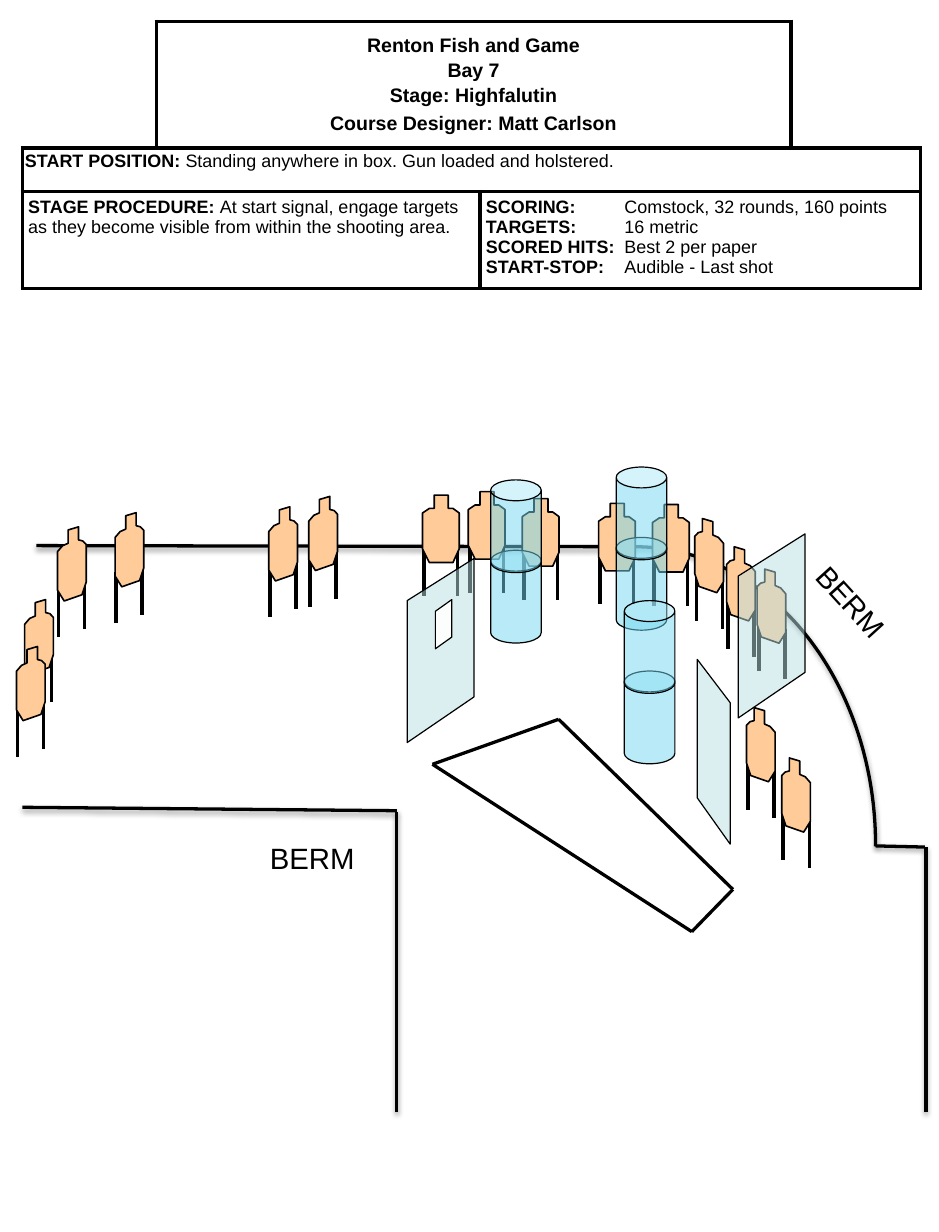
from dataclasses import dataclass
from typing import NamedTuple

from lxml.etree import SubElement
from pptx import Presentation
from pptx.dml.color import RGBColor
from pptx.enum.shapes import MSO_CONNECTOR as Link, MSO_SHAPE as Preset
from pptx.enum.text import MSO_ANCHOR as Anchor, PP_ALIGN as Align
from pptx.oxml.ns import qn
from pptx.util import Pt

COLORS = {"ink": "000000", "paper": "FFFFFF", "target": "FFCC99",
          "wall": "BBE0E3", "barrel": "73D9F1"}
FONT = "Arial"
PLAIN_TABLE = "{2D5ABB26-0587-4C30-8999-92F81FD0307C}"


class Point(NamedTuple):
    x: float
    y: float


class Leg(NamedTuple):
    x: float
    top: float
    bottom: float


class TargetStyle(NamedTuple):
    outline: list[Point]
    legs: list[Leg]


@dataclass
class Panel:
    corner: Point
    outline: list[Point]
    color: str = "wall"
    alpha: int = 50


@dataclass
class Line:
    text: str
    bold: bool = True


@dataclass
class CellText:
    row: int
    column: int
    last_column: int
    paras: list[list[Line]]
    size: float = 11
    inset: tuple = (3.6, 3.6)
    anchor: Anchor = Anchor.TOP
    align: Align = Align.LEFT
    spacing: float = 1.0
    gaps: tuple = ()
    tab: float = 0


def points(*pairs) -> list[Point]:
    return [Point(*pair) for pair in pairs]


FRONT = TargetStyle(
    points((7.2, 0), (15.8, 0), (15.8, 8.2), (18.7, 8.2), (22.5, 11), (22.5, 33), (18.7, 41.4),
           (4.2, 41.4), (0, 33), (0, 11), (4.2, 8.2), (7.2, 8.2)),
    [Leg(1, 30.5, 62), Leg(21.5, 30.5, 62)])
RISING = TargetStyle(
    points((6.5, 1.9), (12.9, 0), (12.9, 8), (15.5, 8.7), (17.6, 10.9), (17.6, 33.9), (15, 41.7),
           (4.1, 45.5), (0, 38.9), (0, 15.2), (3.1, 11.6), (6.5, 10.1)),
    [Leg(0.6, 36.7, 67.7), Leg(16.6, 31.8, 62.8)])
FALLING = TargetStyle([Point(17.6 - x, y) for x, y in RISING.outline],
                      [Leg(17.6 - x, top, bottom) for x, top, bottom in RISING.legs])
TARGETS = {
    FRONT.outline[0]: (FRONT, points((400.3, 309.6), (287.3, 301.7), (320.4, 306),
                                     (367.2, 308.9), (259.2, 303.8))),
    RISING.outline[0]: (RISING, points((35.3, 323.3), (70.6, 314.6), (15.1, 367.9),
                                       (164.9, 311), (189.4, 304.6), (10.1, 396.7))),
    FALLING.outline[0]: (FALLING, points((479.5, 465.1), (457.9, 434.2), (445.7, 335.5),
                                         (464.4, 349.2), (426.2, 318.2))),
}
BARRELS = points((301, 337.7), (378, 329.8), (383, 411.8))
WALL = points((0, 113), (0, 25.9), (41, 0), (41, 85))
PANELS = [
    Panel(Point(427.7, 404.6), points((20.2, 113.4), (20.2, 26.6), (0, 0), (0, 85))),
    Panel(Point(452.9, 327.6), WALL),
    Panel(Point(249.8, 342.7), WALL),
    Panel(Point(267.1, 367.9), points((0, 30.2), (0, 7.2), (10.1, 0), (10.1, 23)), "paper", 94),
]
BERM_LINES = [points((390.2, 335.5), (22.3, 334.8)), points((243.4, 682.6), (243.4, 498.2)),
              points((243.4, 497.5), (13.7, 495.4)), points((568.1, 682.6), (568.1, 519.8)),
              points((567.4, 519.8), (537.1, 519.1))]
SHOOTING_AREA = points((342.7, 441.4), (265.3, 469), (424.4, 571.7), (449.6, 545.8))
HEADING = ["Renton Fish and Game", "Bay 7", "Stage: Highfalutin", "Course Designer: Matt Carlson"]
SCORING = {"SCORING:": "Comstock, 32 rounds, 160 points", "TARGETS:": "16 metric",
           "SCORED HITS:": "Best 2 per paper", "START-STOP:": "Audible - Last shot"}
CELLS = [
    CellText(0, 1, 2, [[Line(text)] for text in HEADING], size=12, anchor=Anchor.MIDDLE,
             align=Align.CENTER, gaps=(0, 2, 2, 4)),
    CellText(1, 0, 3, [[Line("START POSITION:"),
                        Line(" Standing anywhere in box. Gun loaded and holstered.", False)]],
             inset=(1.6, 2.9), spacing=0.9),
    CellText(2, 0, 1, [[Line("STAGE PROCEDURE: "),
                        Line("At start signal, engage targets as they become visible "
                             "from within the shooting area.", False)]]),
    CellText(2, 2, 3, [[Line(f"{label}\t"), Line(value, False)]
                       for label, value in SCORING.items()], tab=85),
]


def rgb(name: str) -> RGBColor:
    return RGBColor.from_string(COLORS[name])


def set_effects(shape, shadow: bool) -> None:
    effects = SubElement(shape.element.spPr, qn("a:effectLst"))
    if shadow:
        outer = SubElement(effects, qn("a:outerShdw"), blurRad="40000", dist="20000",
                           dir="5400000", rotWithShape="0")
        color = SubElement(outer, qn("a:srgbClr"), val=COLORS["ink"])
        SubElement(color, qn("a:alpha"), val="38000")


def set_line(shape, width: float) -> None:
    shape.line.color.rgb = rgb("ink")
    shape.line.width = Pt(width)


def fill_shape(shape, color: str, width: float, alpha: int = 100) -> None:
    shape.fill.solid()
    shape.fill.fore_color.rgb = rgb(color)
    if alpha < 100:
        SubElement(shape.element.spPr.find(qn("a:solidFill"))[0], qn("a:alpha"),
                   val=str(alpha * 1000))
    set_line(shape, width)
    shape.shadow.inherit = False


def draw_line(shapes, start: Point, end: Point, width: float = 2, shadow: bool = False) -> None:
    line = shapes.add_connector(Link.STRAIGHT, *map(Pt, (*start, *end)))
    set_line(line, width)
    set_effects(line, shadow)


def draw_outline(shapes, corner: Point, outline: list[Point], color: str, width: float,
                 alpha: int = 100) -> None:
    moved = [(Pt(corner.x + x), Pt(corner.y + y)) for x, y in outline]
    builder = shapes.build_freeform(*moved[0])
    builder.add_line_segments(moved[1:], close=True)
    fill_shape(builder.convert_to_shape(), color, width, alpha)


def draw_target(shapes, style: TargetStyle, corner: Point) -> None:
    group = shapes.add_group_shape()
    for leg in style.legs:
        x = corner.x + leg.x
        draw_line(group.shapes, Point(x, corner.y + leg.top), Point(x, corner.y + leg.bottom), 2.25)
    draw_outline(group.shapes, corner, style.outline, "target", 1)


def draw_barrel(shapes, corner: Point) -> None:
    for rise in (0, 43.2):
        can = shapes.add_shape(Preset.CAN, *map(Pt, (corner.x, corner.y - rise, 31, 56.9)))
        can.adjustments[0] = 0.413
        fill_shape(can, "barrel", 0.75, 50)


def add_span(para, text: str, size: float, bold: bool = False) -> None:
    span = para.add_run()
    span.text = text
    for name, value in {"name": FONT, "size": Pt(size), "bold": bold}.items():
        setattr(span.font, name, value)
    span.font.color.rgb = rgb("ink")


def draw_label(shapes, corner: Point, rotation: float) -> None:
    box = shapes.add_textbox(*map(Pt, (*corner, 70.6, 28.8)))
    box.rotation = rotation
    box.text_frame.word_wrap = True
    add_span(box.text_frame.paragraphs[0], "BERM", 18)


def style_cell(cell, sides: str) -> None:
    properties = cell._tc.get_or_add_tcPr()
    for side in "LRTB":
        border = SubElement(properties, qn(f"a:ln{side}"), w=str(Pt(2.25)))
        if side in sides:
            SubElement(SubElement(border, qn("a:solidFill")), qn("a:srgbClr"), val=COLORS["ink"])
        else:
            SubElement(border, qn("a:noFill"))
    cell.fill.solid()
    cell.fill.fore_color.rgb = rgb("paper")


def write_cell(table, item: CellText) -> None:
    cell = table.cell(item.row, item.column)
    cell.merge(table.cell(item.row, item.last_column))
    side, top = map(Pt, item.inset)
    for name, value in {"margin_left": side, "margin_right": side, "margin_top": top,
                        "margin_bottom": top, "vertical_anchor": item.anchor}.items():
        setattr(cell, name, value)
    for index, lines in enumerate(item.paras):
        para = cell.text_frame.paragraphs[0] if index == 0 else cell.text_frame.add_paragraph()
        para.alignment = item.align
        para.line_spacing = item.spacing
        if item.gaps:
            para.space_before = Pt(item.gaps[index])
        if item.tab:
            tabs = SubElement(para._p.get_or_add_pPr(), qn("a:tabLst"))
            SubElement(tabs, qn("a:tab"), pos=str(Pt(item.tab)), algn="l")
        for line in lines:
            add_span(para, line.text, item.size, line.bold)


def draw_table(shapes) -> None:
    frame = shapes.add_table(3, 4, *map(Pt, (13.7, 13, 550.8, 164.2)))
    table = frame.table
    table.first_row = table.horz_banding = False
    table._tbl.tblPr.find(qn("a:tableStyleId")).text = PLAIN_TABLE
    for column, width in zip(table.columns, (82.1, 198.7, 190.8, 79.2)):
        column.width = Pt(width)
    for row, height in zip(table.rows, (77.8, 26.6, 59.8)):
        row.height = Pt(height)
    corner_sides = {(0, 0): "RB", (0, 3): "LB"}
    for row in range(3):
        for column in range(4):
            style_cell(table.cell(row, column), corner_sides.get((row, column), "LRTB"))
    for item in CELLS:
        write_cell(table, item)


def main() -> None:
    deck = Presentation()
    deck.slide_width, deck.slide_height = Pt(576), Pt(756)
    page = deck.slides.add_slide(deck.slide_layouts[6])
    shapes = page.shapes
    arc = shapes.add_shape(Preset.ARC, *map(Pt, (242.6, 335.5, 294.5, 365.8)))
    arc.adjustments[0], arc.adjustments[1] = 162, 0.24
    arc.fill.background()
    set_line(arc, 2)
    set_effects(arc, True)
    for start, end in BERM_LINES:
        draw_line(shapes, start, end, shadow=True)
    draw_table(shapes)
    draw_label(shapes, Point(158.4, 511.9), 0)
    draw_label(shapes, Point(488.2, 356.4), 47.7)
    for start, end in zip(SHOOTING_AREA, SHOOTING_AREA[1:] + SHOOTING_AREA[:1]):
        draw_line(shapes, start, end)
    for style, corners in TARGETS.values():
        for corner in corners:
            draw_target(shapes, style, corner)
    for corner in BARRELS:
        draw_barrel(shapes, corner)
    for panel in PANELS:
        draw_outline(shapes, panel.corner, panel.outline, panel.color, 0.75, panel.alpha)
    deck.save("out.pptx")


if __name__ == "__main__":
    main()
